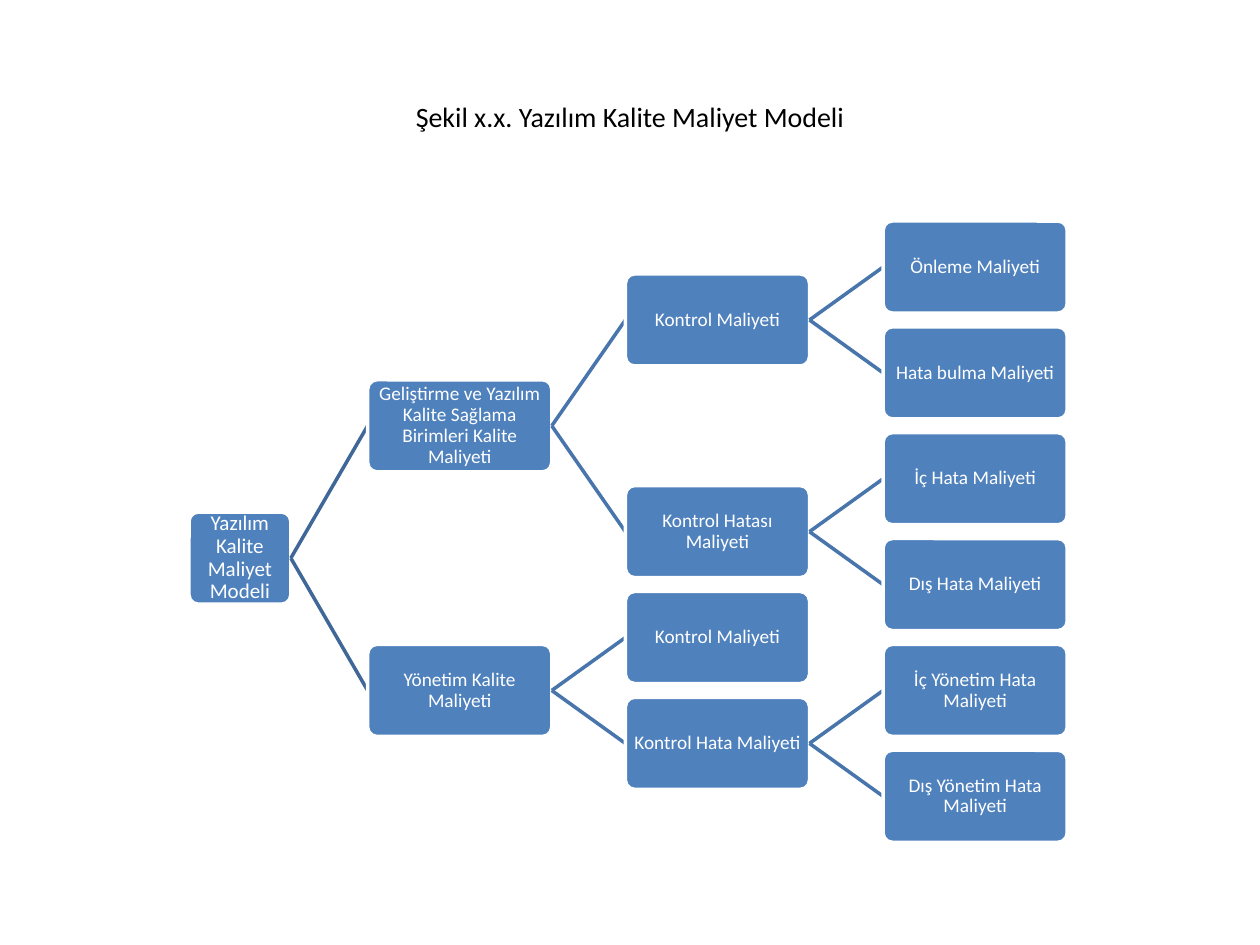
from dataclasses import dataclass

from lxml import etree
from pptx import Presentation
from pptx.dml.color import RGBColor
from pptx.enum.shapes import MSO_CONNECTOR, MSO_SHAPE
from pptx.enum.text import MSO_ANCHOR, PP_ALIGN
from pptx.oxml.ns import qn
from pptx.util import Pt

ROUNDED = MSO_SHAPE.ROUNDED_RECTANGLE
STRAIGHT = MSO_CONNECTOR.STRAIGHT
MIDDLE = MSO_ANCHOR.MIDDLE
CENTER = PP_ALIGN.CENTER
LEFT_SIDE, RIGHT_SIDE = 1, 3

FONT = "Calibri"
COLORS = {
    "title": "000000",
    "box": "4F81BD",
    "white": "FFFFFF",
    "root_branch": "3F6797",
    "branch": "4875AC",
}

ROOT_LEFT, ROOT_WIDTH = 108, 58.2
BOX_WIDTH, BOX_HEIGHT = 105.2, 52.6
FIRST_COLUMN, COLUMN_PITCH = 210.1, BOX_WIDTH * 1.4
FIRST_ROW, ROW_PITCH = 152.6, BOX_HEIGHT * 1.15
LINE_WIDTH = 2
INSET = 2.2


@dataclass
class Cost:
    """A cost in the tree; only a cost without subcosts states its row."""
    label: str
    subcosts: tuple["Cost", ...] = ()
    leaf_row: float = 0

    @property
    def row(self) -> float:
        if not self.subcosts:
            return self.leaf_row
        return (self.subcosts[0].row + self.subcosts[-1].row) / 2


MODEL = Cost("Yazılım Kalite Maliyet Modeli", (
    Cost("Geliştirme ve Yazılım Kalite Sağlama Birimleri Kalite Maliyeti", (
        Cost("Kontrol Maliyeti", (
            Cost("Önleme Maliyeti", leaf_row=0),
            Cost("Hata bulma Maliyeti", leaf_row=1),
        )),
        Cost("Kontrol Hatası Maliyeti", (
            Cost("İç Hata Maliyeti", leaf_row=2),
            Cost("Dış Hata Maliyeti", leaf_row=3),
        )),
    )),
    Cost("Yönetim Kalite Maliyeti", (
        Cost("Kontrol Maliyeti", leaf_row=3.5),
        Cost("Kontrol Hata Maliyeti", (
            Cost("İç Yönetim Hata Maliyeti", leaf_row=4),
            Cost("Dış Yönetim Hata Maliyeti", leaf_row=5),
        )),
    )),
))


def rgb(name: str) -> RGBColor:
    return RGBColor.from_string(COLORS[name])


def format_text(frame, size: float, color: str) -> None:
    frame.word_wrap = True
    frame.vertical_anchor = MIDDLE
    paragraph = frame.paragraphs[0]
    paragraph.alignment = CENTER
    font = paragraph.runs[0].font
    font.name = FONT
    font.size = Pt(size)
    font.color.rgb = rgb(color)


def add_title(slide, text: str) -> None:
    title = slide.shapes.title
    title.left, title.top = Pt(36), Pt(21.6)
    title.width, title.height = Pt(648), Pt(90)
    title.text_frame.text = text
    format_text(title.text_frame, 16, "title")


def add_box(slide, cost: Cost, level: int):
    if level == 0:
        left, width, size = ROOT_LEFT, ROOT_WIDTH, 12
    else:
        left, width, size = FIRST_COLUMN + (level - 1) * COLUMN_PITCH, BOX_WIDTH, 11
    top = FIRST_ROW + cost.row * ROW_PITCH - BOX_HEIGHT / 2
    box = slide.shapes.add_shape(ROUNDED, Pt(left), Pt(top), Pt(width), Pt(BOX_HEIGHT))
    box.adjustments[0] = 0.1
    box.shadow.inherit = False
    box.fill.solid()
    box.fill.fore_color.rgb = rgb("box")
    box.line.color.rgb = rgb("white")
    box.line.width = Pt(LINE_WIDTH)
    frame = box.text_frame
    frame.margin_left = frame.margin_right = Pt(INSET)
    frame.margin_top = frame.margin_bottom = Pt(INSET)
    frame.text = cost.label
    frame.paragraphs[0].line_spacing = 0.9
    format_text(frame, size, "white")
    return box


def add_branch(slide, parent, child, color: str) -> None:
    """Join two boxes with a line that lies just behind the child."""
    branch = slide.shapes.add_connector(STRAIGHT, 0, 0, 0, 0)
    branch.begin_connect(parent, RIGHT_SIDE)
    branch.end_connect(child, LEFT_SIDE)
    branch.line.color.rgb = rgb(color)
    branch.line.width = Pt(LINE_WIDTH)
    etree.SubElement(branch._element.spPr, qn("a:effectLst"))
    child._element.addprevious(branch._element)


def add_tree(slide, cost: Cost, level: int = 0):
    """Draw a cost with all its subcosts and return its box."""
    box = add_box(slide, cost, level)
    for subcost in cost.subcosts:
        subcost_box = add_tree(slide, subcost, level + 1)
        add_branch(slide, box, subcost_box, "branch" if level else "root_branch")
    return box


def main() -> None:
    presentation = Presentation()
    presentation.slide_width, presentation.slide_height = Pt(720), Pt(540)
    title_only = presentation.slide_layouts[5]
    slide = presentation.slides.add_slide(title_only)
    add_title(slide, "Şekil x.x. Yazılım Kalite Maliyet Modeli")
    add_tree(slide, MODEL)
    presentation.save("out.pptx")


if __name__ == "__main__":
    main()
